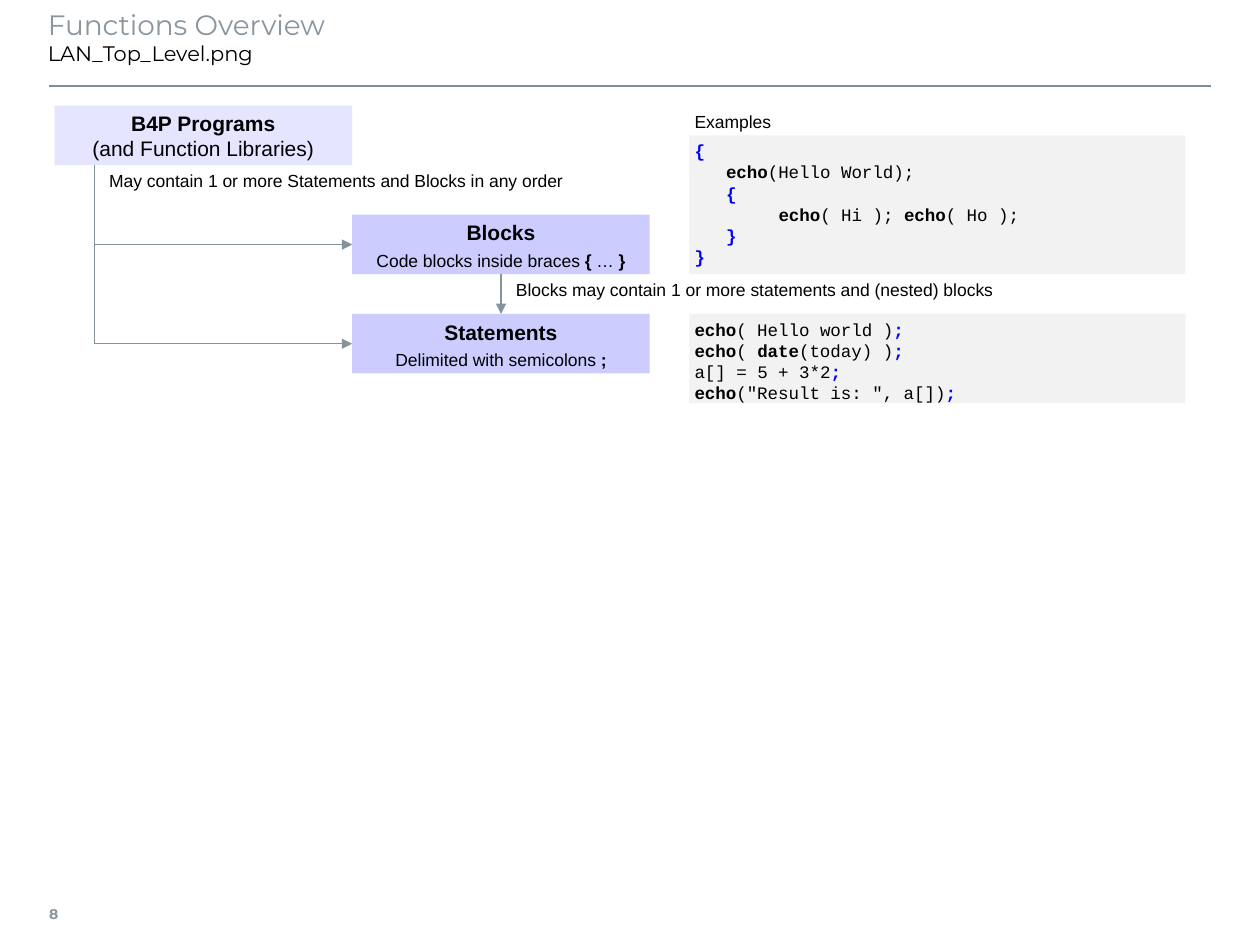
from lxml import etree
from pptx import Presentation
from pptx.dml.color import RGBColor
from pptx.enum.shapes import MSO_CONNECTOR, MSO_SHAPE
from pptx.enum.text import MSO_ANCHOR, PP_ALIGN
from pptx.oxml.ns import qn
from pptx.util import Cm, Inches, Pt

RECTANGLE = MSO_SHAPE.RECTANGLE
STRAIGHT = MSO_CONNECTOR.STRAIGHT
TOP, MIDDLE = MSO_ANCHOR.TOP, MSO_ANCHOR.MIDDLE
LEFT, CENTER = PP_ALIGN.LEFT, PP_ALIGN.CENTER

BLACK = RGBColor(0x00, 0x00, 0x00)
BLUE = RGBColor(0x00, 0x00, 0xFF)
GREY = RGBColor(0x89, 0x96, 0xA0)
RULE_GREY = RGBColor(0x80, 0x8D, 0x97)
ARROW_GREY = RGBColor(0x85, 0x93, 0x9D)
CODE_FILL = RGBColor(0xF2, 0xF2, 0xF2)
PROGRAM_FILL = RGBColor(0xE5, 0xE5, 0xFF)
PART_FILL = RGBColor(0xCC, 0xCC, 0xFF)

# Diagram grid: square cells from a common origin
CELL = Cm(0.2)
ORIGIN_X, ORIGIN_Y = Cm(1.1), Cm(2.13)
BOX_COLUMNS, BOX_ROWS = 30, 6
LABEL_COLUMNS, LABEL_ROWS = 31, 3
SENTENCE_COLUMNS = 52  # holds the longest label on one line
CODE_COLUMN, CODE_COLUMNS = 64, 50
PART_COLUMN, BLOCKS_ROW, STATEMENTS_ROW = 30, 11, 21
TRUNK_COLUMN = 4

GRID_INSETS = (0.04, 0.04, 0.04, 0.04)
CHARACTER_WIDTH = Pt(6)  # one Courier New character at 10 pt

# Font formats
HEADING = {"name": "Arial", "size": Pt(12), "bold": True}
BODY = {"name": "Arial", "size": Pt(10), "bold": False}
CODE = {"name": "Courier New", "size": Pt(10), "bold": False}
TITLE = {"name": "Montserrat", "size": Pt(16), "bold": False}
SUBTITLE = {**TITLE, "size": Pt(12)}
NUMBER = {"name": "Montserrat", "size": Pt(8), "bold": True}


def bold(text_format):
    return {**text_format, "bold": True}


def keyword(text):
    return text, bold(CODE), BLACK


def plain(text):
    return text, CODE, BLACK


def mark(text):
    return text, bold(CODE), BLUE


# Code lines: indent in characters, then the runs
NESTED_BLOCK = [
    (0, [mark("{")]),
    (3, [keyword("echo"), plain("(Hello World);")]),
    (3, [mark("{")]),
    (8, [keyword("echo"), plain("( Hi ); "), keyword("echo"), plain("( Ho );")]),
    (3, [mark("}")]),
    (0, [mark("}")]),
]
STATEMENT_LIST = [
    (0, [keyword("echo"), plain("( Hello world )"), mark(";")]),
    (0, [keyword("echo"), plain("( "), keyword("date"), plain("(today) )"), mark(";")]),
    (0, [plain("a[] = 5 + 3*2"), mark(";")]),
    (0, [keyword("echo"), plain('("Result is: ", a[])'), mark(";")]),
]


def grid_point(column, row):
    return ORIGIN_X + column * CELL, ORIGIN_Y + row * CELL


def grid_area(column, row, columns, rows):
    return (*grid_point(column, row), columns * CELL, rows * CELL)


def fill_text(shape, lines, align=LEFT, insets=GRID_INSETS, anchor=TOP, wrap=False):
    frame = shape.text_frame
    left, top, right, bottom = map(Inches, insets)
    settings = {"margin_left": left, "margin_top": top, "margin_right": right,
                "margin_bottom": bottom, "vertical_anchor": anchor, "word_wrap": wrap}
    for name, value in settings.items():
        setattr(frame, name, value)
    for index, (indent, runs) in enumerate(lines):
        paragraph = frame.paragraphs[0] if index == 0 else frame.add_paragraph()
        paragraph.alignment = align
        if indent:
            paragraph._p.get_or_add_pPr().set("marL", str(indent * CHARACTER_WIDTH))
        for text, text_format, color in runs:
            run = paragraph.add_run()
            run.text = text
            run.font.color.rgb = color
            for name, value in text_format.items():
                setattr(run.font, name, value)


def add_box(slide, area, fill, lines, align=LEFT):
    shape = slide.shapes.add_shape(RECTANGLE, *area)
    shape.shadow.inherit = False
    shape.fill.solid()
    shape.fill.fore_color.rgb = fill
    shape.line.fill.background()
    fill_text(shape, lines, align)


def add_text(slide, area, lines, **settings):
    fill_text(slide.shapes.add_textbox(*area), lines, **settings)


def add_label(slide, column, row, text, columns=LABEL_COLUMNS):
    area = grid_area(column, row, columns, LABEL_ROWS)
    add_text(slide, area, [(0, [(text, BODY, BLACK)])])


def add_line(slide, start, end, color=ARROW_GREY, width=0.75, arrow=False):
    connector = slide.shapes.add_connector(STRAIGHT, *start, *end)
    connector.line.color.rgb = color
    connector.line.width = Pt(width)
    if arrow:
        line = connector.line._get_or_add_ln()
        etree.SubElement(line, qn("a:tailEnd"), type="triangle")
    etree.SubElement(connector._element.spPr, qn("a:effectLst"))


def add_part(slide, row, name, caption_runs):
    """Named box with a caption in its lower half."""
    add_box(slide, grid_area(PART_COLUMN, row, BOX_COLUMNS, BOX_ROWS), PART_FILL,
            [(0, [(name, HEADING, BLACK)])], CENTER)
    caption_area = grid_area(PART_COLUMN, row + BOX_ROWS // 2, BOX_COLUMNS, LABEL_ROWS)
    add_text(slide, caption_area, [(0, caption_runs)], align=CENTER)


def add_frame(slide):
    """Rule, page number and title."""
    add_line(slide, (Inches(0.39), Inches(0.68)), (Inches(9.61), Inches(0.68)), RULE_GREY, 1)
    add_text(slide, map(Inches, (0.39, 7.06, 0.35, 0.39)), [(0, [("8", NUMBER, GREY)])],
             insets=(0, 0.05, 0.08, 0.05), anchor=MIDDLE)
    add_text(slide, map(Inches, (0.38, 0.01, 9.21, 0.63)),
             [(0, [("Functions Overview", TITLE, GREY)]),
              (0, [("LAN_Top_Level.png", SUBTITLE, BLACK)])],
             insets=(0, 0.05, 0.1, 0.05), wrap=True)


def add_diagram(slide):
    # Boxes
    add_box(slide, grid_area(0, 0, BOX_COLUMNS, BOX_ROWS), PROGRAM_FILL,
            [(0, [("B4P Programs", HEADING, BLACK)]),
             (0, [("(and Function Libraries)", {**HEADING, "bold": False}, BLACK)])], CENTER)
    add_part(slide, BLOCKS_ROW, "Blocks",
             [("Code blocks inside braces ", BODY, BLACK), ("{", bold(BODY), BLACK),
              (" … ", BODY, BLACK), ("}", bold(BODY), BLACK)])
    add_part(slide, STATEMENTS_ROW, "Statements",
             [("Delimited with semicolons ", BODY, BLACK), (";", bold(BODY), BLACK)])

    # Trunk, branches and the arrow from blocks to statements
    half = BOX_ROWS // 2
    add_line(slide, grid_point(TRUNK_COLUMN, BOX_ROWS),
             grid_point(TRUNK_COLUMN, STATEMENTS_ROW + half))
    for row in (BLOCKS_ROW + half, STATEMENTS_ROW + half):
        add_line(slide, grid_point(TRUNK_COLUMN, row), grid_point(PART_COLUMN, row), arrow=True)
    middle = PART_COLUMN + BOX_COLUMNS // 2
    blocks_end = BLOCKS_ROW + BOX_ROWS
    add_line(slide, grid_point(middle, blocks_end), grid_point(middle, STATEMENTS_ROW), arrow=True)

    # Labels beside the lines
    add_label(slide, TRUNK_COLUMN + 1, BOX_ROWS,
              "May contain 1 or more Statements and Blocks in any order", SENTENCE_COLUMNS)
    add_label(slide, middle + 1, blocks_end,
              "Blocks may contain 1 or more statements and (nested) blocks", SENTENCE_COLUMNS)


def add_examples(slide):
    add_label(slide, CODE_COLUMN, 0, "Examples")
    for row, rows, lines in ((LABEL_ROWS, 14, NESTED_BLOCK), (STATEMENTS_ROW, 9, STATEMENT_LIST)):
        add_box(slide, grid_area(CODE_COLUMN, row, CODE_COLUMNS, rows), CODE_FILL, lines)


def main():
    presentation = Presentation()
    presentation.slide_width, presentation.slide_height = Inches(10), Inches(7.5)
    slide = presentation.slides.add_slide(presentation.slide_layouts[6])
    add_frame(slide)
    add_diagram(slide)
    add_examples(slide)
    presentation.save("out.pptx")


if __name__ == "__main__":
    main()
